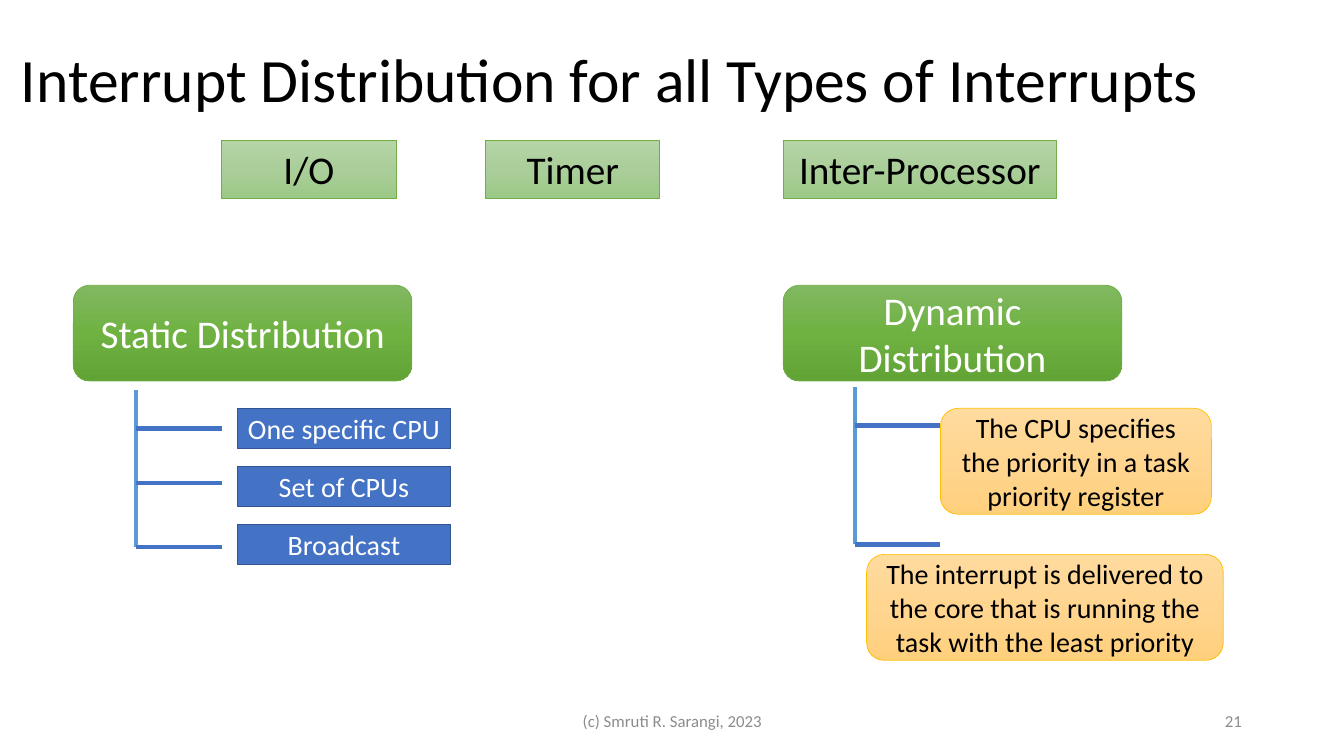
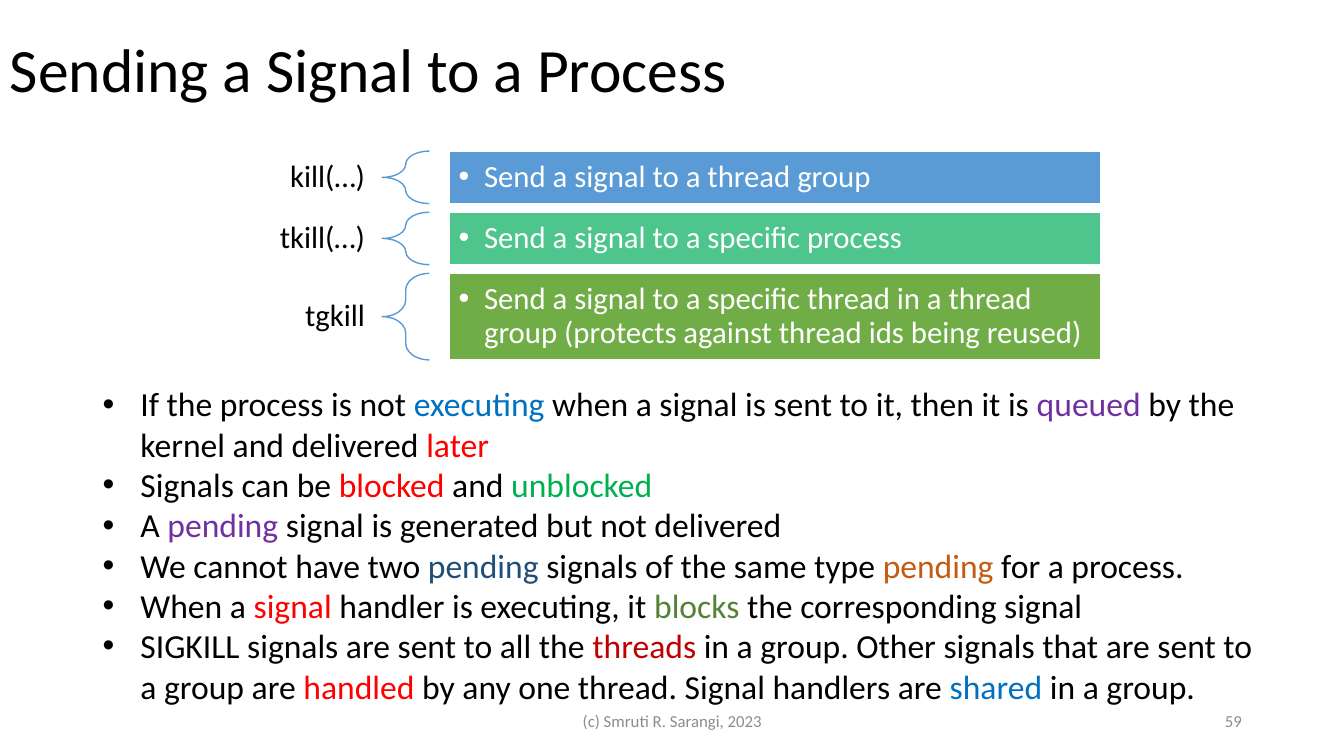
"""Build two lecture slides on interrupts and signals."""
from copy import deepcopy

from lxml.etree import SubElement
from pptx import Presentation
from pptx.dml.color import RGBColor
from pptx.enum.shapes import MSO_CONNECTOR, MSO_SHAPE
from pptx.enum.text import MSO_ANCHOR, PP_ALIGN
from pptx.oxml.ns import qn
from pptx.util import Cm, Pt

FONT = "Calibri"
INK = {
    "black": "000000",
    "white": "FFFFFF",
    "grey": "8C8C8C",
    "sky": "5B9BD5",
    "blue": "4472C4",
    "navy": "325491",
    "mint": "4DC58D",
    "green": "70AD47",
    "gold": "FFC000",
    "leaf": "81B861 6FB242 62A336",
    "pale": "B5D5A7 AACE9A 9CC987",
    "sand": "FFDB9E FFD590 FFD07C",
    "azure": "0070C0",
    "purple": "7030A0",
    "red": "FF0000",
    "lime": "00B050",
    "deep": "1F4E79",
    "rust": "C55A11",
    "olive": "548235",
    "wine": "C00000",
}
TYPES = [("I/O", 5.59, 4.39), ("Timer", 12.24, 4.39), ("Inter-Processor", 19.74, 6.88)]
HEADS = [("Static Distribution", 1.85), ("Dynamic Distribution", 19.74)]
TARGETS = ["One specific CPU", "Set of CPUs", "Broadcast"]
NOTES = [
    ("The CPU specifies the priority in a task priority register", 23.7, 10.29, 6.83),
    ("The interrupt is delivered to the core that is running the task "
     "with the least priority", 21.84, 13.97, 8.99),
]
CALLS = [
    ("kill(…)", "Send a signal to a thread group", "sky", 1.32),
    ("tkill(…)", "Send a signal to a specific process", "mint", 1.32),
    ("tgkill", "Send a signal to a specific thread in a thread group "
     "(protects against thread ids being reused)", "green", 2.18),
]
POINTS = [
    "If the process is not |azure:executing| when a signal is sent to it, then it is "
    "|purple:queued| by the kernel and delivered |red:later",
    "Signals can be |red:blocked| and |lime:unblocked",
    "A |purple:pending| signal is generated but not delivered",
    "We cannot have two |deep:pending| signals of the same type |rust:pending| for a process.",
    "When a |red:signal| handler is executing, it |olive:blocks| the corresponding signal",
    "SIGKILL signals are sent to all the |wine:threads| in a group. Other signals that are "
    "sent to a group are |red:handled| by any one thread. Signal handlers are "
    "|azure:shared| in a group.",
]


def shade(name):
    return RGBColor.from_string(INK[name])


def write(shape, lines, size, ink, align=PP_ALIGN.LEFT, indent=0, space=None,
          pad=(0.25, 0.13), anchor=MSO_ANCHOR.MIDDLE):
    frame = shape.text_frame
    frame.word_wrap = True
    frame.vertical_anchor = anchor
    frame.margin_left = frame.margin_right = Cm(pad[0])
    frame.margin_top = frame.margin_bottom = Cm(pad[1])
    for i, line in enumerate(lines):
        para = frame.add_paragraph() if i else frame.paragraphs[0]
        if indent:
            props = para._p.get_or_add_pPr()
            props.set("marL", str(Cm(indent)))
            props.set("indent", str(-Cm(indent)))
            SubElement(props, qn("a:buFont"), typeface="Arial")
            SubElement(props, qn("a:buChar"), char="•")
        para.alignment = align
        para.line_spacing = space
        para.font.name = FONT
        para.font.size = Pt(size)
        para.font.color.rgb = shade(ink)
        for j, piece in enumerate(line.split("|")):
            run = para.add_run()
            if j % 2:
                tint, piece = piece.split(":")
                run.font.color.rgb = shade(tint)
            run.text = piece


def label(slide, place, lines, size, ink, **style):
    write(slide.shapes.add_textbox(*map(Cm, place)), lines, size, ink, **style)


def paint(shape, name):
    tints = INK[name].split()
    fill = shape.fill
    if len(tints) == 1:
        fill.solid()
        fill.fore_color.rgb = shade(name)
        return
    fill.gradient()
    fill.gradient_angle = 270
    stops = next(shape._element.iter(qn("a:gsLst")))
    stops.insert(1, deepcopy(stops[0]))
    for i, (stop, tint) in enumerate(zip(fill.gradient_stops, tints)):
        stop.color.rgb = RGBColor.from_string(tint)
        stop.position = i / 2


def block(slide, kind, place, fill, edge, width):
    shape = slide.shapes.add_shape(kind, *map(Cm, place))
    shape.shadow.inherit = False
    if fill:
        paint(shape, fill)
    else:
        shape.fill.background()
    shape.line.color.rgb = shade(edge)
    shape.line.width = Pt(width)
    return shape


def rule(slide, start, end, ink):
    line = slide.shapes.add_connector(MSO_CONNECTOR.STRAIGHT, *map(Cm, start + end))
    line.line.color.rgb = shade(ink)
    line.line.width = Pt(3)
    SubElement(line._element.spPr, qn("a:effectLst"))


def tree(slide, left, top, levels):
    rule(slide, (left, top), (left, levels[-1]), "sky")
    for level in levels:
        rule(slide, (left, level), (left + 2.16, level), "blue")


def start(deck, title, place, number):
    slide = deck.slides.add_slide(deck.slide_layouts[6])
    label(slide, place, [title], 44, "black", space=0.9)
    label(slide, (11.23, 17.65, 11.43, 1.02), ["(c) Smruti R. Sarangi, 2023"], 12, "grey",
          align=PP_ALIGN.CENTER)
    label(slide, (23.93, 17.65, 7.62, 1.02), [number], 12, "grey", align=PP_ALIGN.RIGHT)
    return slide


def spread(deck):
    slide = start(deck, "Interrupt Distribution for all Types of Interrupts",
                  (0.28, 0.23, 30.84, 3.68), "21")
    mid = PP_ALIGN.CENTER
    for text, left, width in TYPES:
        shape = block(slide, MSO_SHAPE.RECTANGLE, (left, 3.53, width, 1.47),
                      "pale", "green", 0.5)
        write(shape, [text], 28, "black", align=mid)
    for text, left in HEADS:
        shape = block(slide, MSO_SHAPE.ROUNDED_RECTANGLE, (left, 7.19, 8.53, 2.41),
                      "leaf", "green", 0.5)
        write(shape, [text], 28, "white", align=mid)
    tree(slide, 3.43, 9.83, [10.8, 12.17, 13.79])
    tree(slide, 21.54, 9.75, [10.72, 13.72])
    for i, text in enumerate(TARGETS):
        shape = block(slide, MSO_SHAPE.RECTANGLE, (5.99, 10.29 + 1.46 * i, 5.36, 1.02),
                      "blue", "navy", 1)
        write(shape, [text], 20, "white", align=mid, pad=(0.1, 0.1))
    for text, left, top, width in NOTES:
        shape = block(slide, MSO_SHAPE.ROUNDED_RECTANGLE, (left, top, width, 2.67),
                      "sand", "gold", 0.5)
        write(shape, [text], 20, "black", align=mid)


def signals(deck):
    slide = start(deck, "Sending a Signal to a Process", (0, 0, 29.21, 3.68), "59")
    top = 3.81
    for name, text, fill, height in CALLS:
        label(slide, (3.61, top, 6.02, height), [name], 22, "black",
              align=PP_ALIGN.RIGHT, space=0.9, pad=(0.43, 0.15))
        brace = block(slide, MSO_SHAPE.LEFT_BRACE, (9.63, top, 1.19, height),
                      None, "sky", 1)
        brace.adjustments[0] = 0.35
        bar = block(slide, MSO_SHAPE.RECTANGLE, (11.33, top, 16.41, height),
                    fill, "white", 1)
        write(bar, [text], 22, "white", indent=0.64, space=0.9, pad=(0.23, 0.23))
        top += height + 0.22
    label(slide, (2.34, 9.53, 29.54, 8.4), POINTS, 24, "black", indent=0.95,
          anchor=MSO_ANCHOR.TOP)


def main():
    deck = Presentation()
    deck.slide_width, deck.slide_height = Cm(33.87), Cm(19.05)
    spread(deck)
    signals(deck)
    deck.save("out.pptx")


if __name__ == "__main__":
    main()
